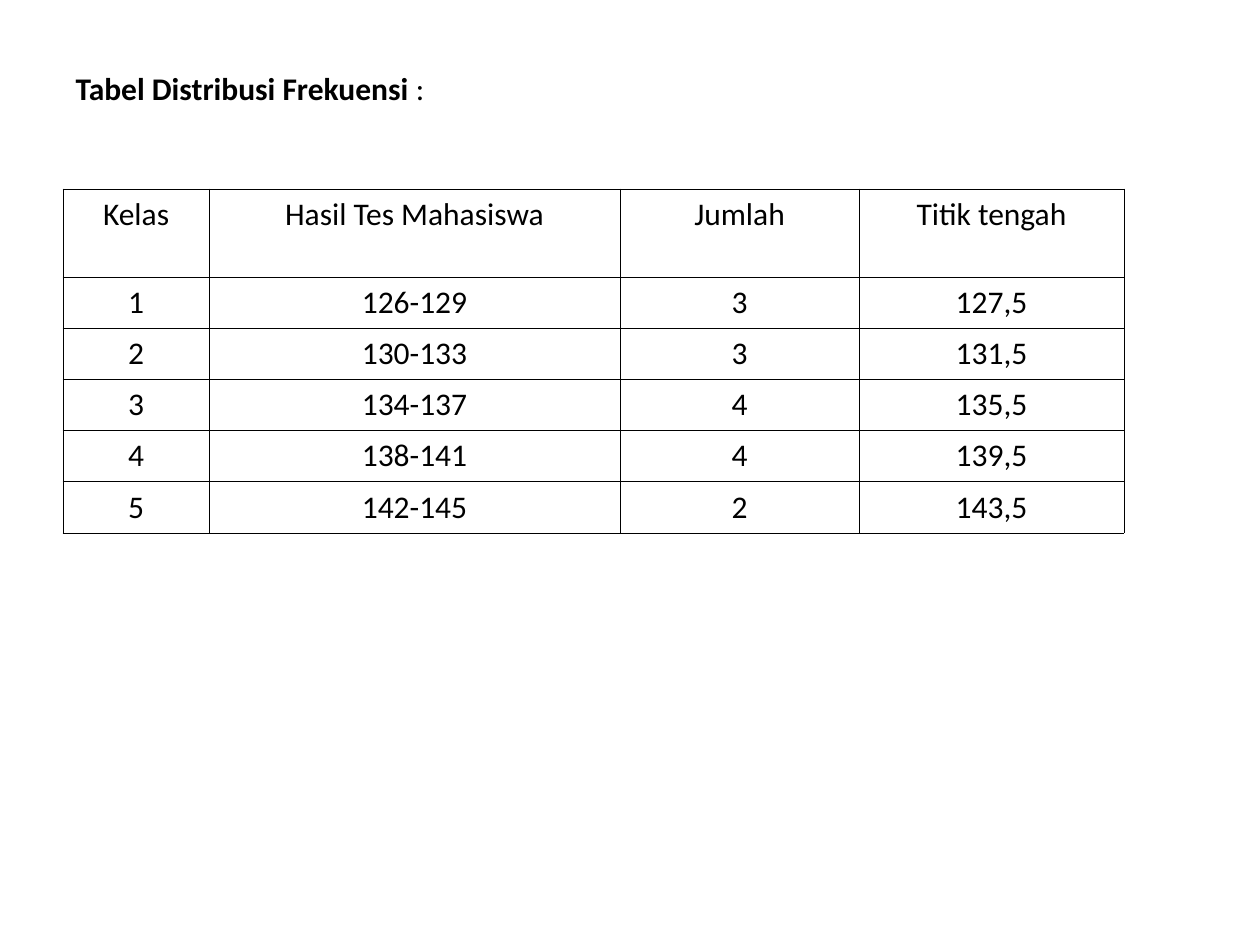
import dataclasses

import lxml.etree
import pptx
import pptx.dml.color
import pptx.enum.text
import pptx.oxml.ns
import pptx.util


@dataclasses.dataclass(frozen=True)
class Theme:
    font: str = "Calibri"
    text_size: float = 18
    ink: str = "000000"
    border_width: float = 0.45
    side_inset: float = 0.1
    end_inset: float = 0.05


THEME = Theme()
INK = pptx.dml.color.RGBColor.from_string(THEME.ink)

# Lengths in inches: left, top, width, height
SLIDE_SIZE = (10, 7.5)
HEADING_BOX = (0.5, 0.5, 4, 0.4)
TABLE_BOX = (0.5, 1.5, 8.42, 2.73)
COLUMN_WIDTHS = (1.16, 3.26, 1.9, 2.1)
HEADER_HEIGHT = 0.7

HEADING = (("Tabel Distribusi Frekuensi ", True), (":", False))
HEADER = ("Kelas", "Hasil Tes Mahasiswa", "Jumlah", "Titik tengah")
FIRST_SCORE, CLASS_WIDTH = 126, 4
COUNTS = (3, 3, 4, 4, 2)

INSETS = {
    "margin_left": pptx.util.Inches(THEME.side_inset),
    "margin_right": pptx.util.Inches(THEME.side_inset),
    "margin_top": pptx.util.Inches(THEME.end_inset),
    "margin_bottom": pptx.util.Inches(THEME.end_inset),
    "vertical_anchor": pptx.enum.text.MSO_ANCHOR.TOP,
}


def set_format(target, values):
    for name, value in values.items():
        setattr(target, name, value)


def add_text(paragraph, text, bold=False):
    run = paragraph.add_run()
    run.text = text
    set_format(run.font, {"name": THEME.font, "bold": bold,
                          "size": pptx.util.Pt(THEME.text_size)})
    run.font.color.rgb = INK


def frequency_rows():
    """Return class number, score range, count and midpoint for each class."""
    rows = []
    for index, count in enumerate(COUNTS):
        low = FIRST_SCORE + index * CLASS_WIDTH
        high = low + CLASS_WIDTH - 1
        midpoint = str((low + high) / 2).replace(".", ",")
        rows.append((str(index + 1), f"{low}-{high}", str(count), midpoint))
    return rows


def add_borders(cell):
    properties = cell._tc.get_or_add_tcPr()
    qualified = pptx.oxml.ns.qn
    # Border lines come before the fill in the cell properties
    for position, side in enumerate(("lnL", "lnR", "lnT", "lnB")):
        line = lxml.etree.Element(qualified(f"a:{side}"),
                                  w=str(int(pptx.util.Pt(THEME.border_width))))
        fill = lxml.etree.SubElement(line, qualified("a:solidFill"))
        lxml.etree.SubElement(fill, qualified("a:srgbClr"), val=THEME.ink)
        properties.insert(position, line)


def place_heading(slide, box):
    title = slide.shapes.title
    names = ("left", "top", "width", "height")
    set_format(title, dict(zip(names, map(pptx.util.Inches, box))))
    frame = title.text_frame
    set_format(frame, INSETS)
    set_format(frame, {"word_wrap": True,
                       "auto_size": pptx.enum.text.MSO_AUTO_SIZE.SHAPE_TO_FIT_TEXT})
    paragraph = frame.paragraphs[0]
    paragraph.alignment = pptx.enum.text.PP_ALIGN.LEFT
    for text, bold in HEADING:
        add_text(paragraph, text, bold)


def place_frequency_table(slide, box):
    rows = [HEADER, *frequency_rows()]
    table = slide.shapes.add_table(
        len(rows), len(HEADER), *map(pptx.util.Inches, box)).table
    set_format(table, {"first_row": False, "horz_banding": False})

    # Grid: a taller header, then equal rows
    for column, width in zip(table.columns, COLUMN_WIDTHS):
        column.width = pptx.util.Inches(width)
    row_height = (box[3] - HEADER_HEIGHT) / len(COUNTS)
    for index, row in enumerate(table.rows):
        row.height = pptx.util.Inches(row_height if index else HEADER_HEIGHT)

    # Cells
    for row, texts in zip(table.rows, rows):
        for cell, text in zip(row.cells, texts):
            set_format(cell, INSETS)
            cell.fill.background()
            add_borders(cell)
            paragraph = cell.text_frame.paragraphs[0]
            paragraph.alignment = pptx.enum.text.PP_ALIGN.CENTER
            add_text(paragraph, text)


def main():
    presentation = pptx.Presentation()
    presentation.slide_width, presentation.slide_height = map(
        pptx.util.Inches, SLIDE_SIZE)
    title_only = presentation.slide_layouts.get_by_name("Title Only")
    slide = presentation.slides.add_slide(title_only)
    place_heading(slide, HEADING_BOX)
    place_frequency_table(slide, TABLE_BOX)
    presentation.save("out.pptx")


if __name__ == "__main__":
    main()
